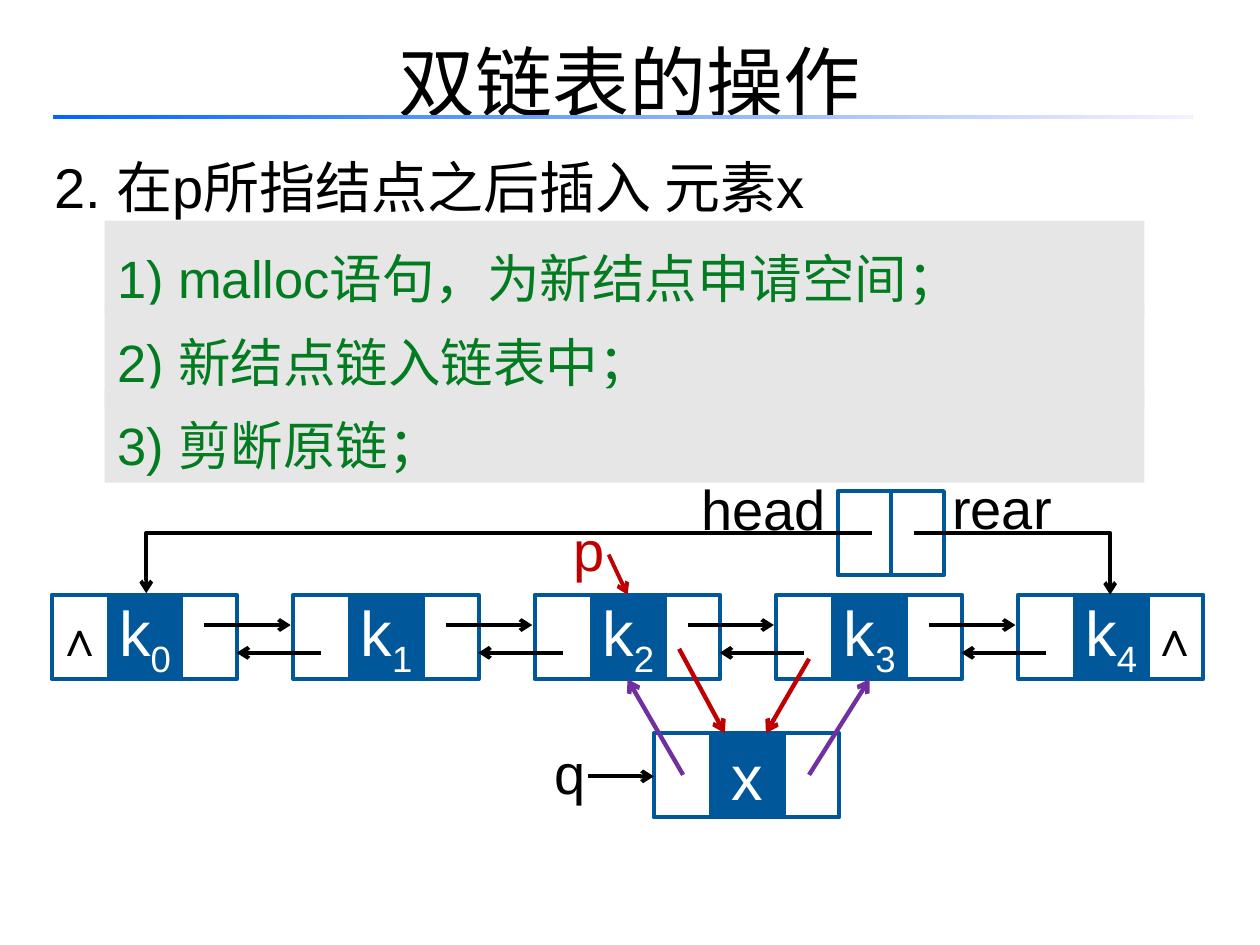
from lxml import etree
from pptx import Presentation
from pptx.dml.color import RGBColor
from pptx.enum.shapes import MSO_CONNECTOR, MSO_SHAPE
from pptx.enum.text import MSO_ANCHOR, MSO_AUTO_SIZE, PP_ALIGN
from pptx.oxml.ns import qn
from pptx.util import Cm, Pt

RECT = MSO_SHAPE.RECTANGLE
LINE, ELBOW = MSO_CONNECTOR.STRAIGHT, MSO_CONNECTOR.ELBOW
TOP, MID = MSO_ANCHOR.TOP, MSO_ANCHOR.MIDDLE
LEFT, MIDST, RIGHT = PP_ALIGN.LEFT, PP_ALIGN.CENTER, PP_ALIGN.RIGHT

THEME = {
    "ink": "000000", "paper": "FFFFFF", "blue": "00589A", "green": "037B20",
    "red": "C00000", "purple": "7030A0", "grey": "E6E6E6",
    "start": "0066FF", "stop": "F7EFFF",
    "font": "Arial", "han": "Noto Sans CJK SC",
    "title": 44, "key": 36, "label": 32, "step": 30, "null": 28,
    "edge": 2.25, "bold": 2.5,
}

TITLE = "双链表的操作"
TASK = "2. 在p所指结点之后插入 元素x"
# text, top and height in cm
STEPS = [
    ("1) malloc语句，为新结点申请空间；", 4.45, 1.9),
    ("2) 新结点链入链表中；", 6.14, 2.1),
    ("3) 剪断原链；", 7.83, 1.9),
]
NULL = "∧"
COUNT = 5
# text, left, top, width, colour
LABELS = [
    ("head", 14.1, 9.47, 2.6, "ink"),
    ("rear", 18.8, 9.45, 2.8, "ink"),
    ("p", 10.8, 10.31, 2.16, "red"),
    ("q", 10.41, 14.81, 2.16, "ink"),
]
# start x, y, end x, y, colour, width
LINKS = [
    (12.27, 11.18, 12.65, 11.99, "red", "edge"),
    (16.31, 15.62, 17.53, 13.69, "purple", "bold"),
    (13.77, 15.62, 12.65, 13.69, "purple", "bold"),
    (13.69, 13.08, 14.61, 14.78, "red", "bold"),
    (16.31, 13.28, 15.44, 14.78, "red", "bold"),
    (11.86, 15.65, 13.18, 15.65, "ink", "edge"),
]
BENDS = [(17.58, 10.74, 2.95, 11.96), (18.42, 10.74, 22.38, 11.99)]

FIRST, PITCH, ROW, HIGH = 1.04, 4.87, 11.99, 1.7
SIDE, CORE = 1.32, 1.47           # widths of pointer and key cells
KEY_AT, NEXT_AT = 1.15, 2.42      # offsets inside a node
NEW = (13.18, 14.78)

prs = Presentation()
prs.slide_width, prs.slide_height = Cm(25.4), Cm(19.05)
slide = prs.slides.add_slide(prs.slide_layouts[5])
shapes = slide.shapes


def tint(name):
    return RGBColor.from_string(THEME[name])


def write(shape, text, size, color, align=LEFT, space=1, anchor=MID,
          wrap=False, font="font", hang=0, sub="", bold=False):
    frame = shape.text_frame
    frame.text = text
    frame.word_wrap = wrap
    frame.auto_size = MSO_AUTO_SIZE.NONE
    frame.vertical_anchor = anchor
    para = frame.paragraphs[0]
    para.alignment, para.line_spacing = align, space
    if hang:
        props = para._p.get_or_add_pPr()
        props.set("marL", str(Cm(hang)))
        props.set("indent", str(-Cm(hang)))
    if sub:
        para.add_run().text = sub
    for run in para.runs:
        run.font.name = THEME[font]
        run.font.size = Pt(THEME[size])
        run.font.color.rgb = tint(color)
        run.font.bold = bold
    if sub:
        para.runs[-1].font._element.set("baseline", "-25000")


def label(text, x, y, w, h, **style):
    box = shapes.add_textbox(Cm(x), Cm(y), Cm(w), Cm(h))
    write(box, text, "label", **style)


def block(x, y, w, h, fill=None, line=None):
    box = shapes.add_shape(RECT, Cm(x), Cm(y), Cm(w), Cm(h))
    box.shadow.inherit = False
    if fill:
        box.fill.solid()
        box.fill.fore_color.rgb = tint(fill)
    else:
        box.fill.background()
    if line:
        box.line.color.rgb = tint(line)
        box.line.width = Pt(THEME["edge"])
    else:
        box.line.fill.background()
    return box


def arrow(x1, y1, x2, y2, color="ink", width="edge", kind=LINE):
    link = shapes.add_connector(kind, Cm(x1), Cm(y1), Cm(x2), Cm(y2))
    link.line.color.rgb = tint(color)
    link.line.width = Pt(THEME[width])
    tail = etree.SubElement(link.line._get_or_add_ln(), qn("a:tailEnd"))
    tail.set("type", "arrow")
    props = link._element.spPr
    etree.SubElement(props, qn("a:effectLst"))
    if kind == ELBOW:
        props.find(qn("a:prstGeom")).set("prst", "bentConnector2")


def node(x, y, key, sub=""):
    """Draw a node; return its prev and next cells."""
    after = block(x + NEXT_AT, y, SIDE, HIGH, line="blue")
    core = block(x + KEY_AT, y, CORE, HIGH, "blue", "blue")
    write(core, key, "key", "paper", MIDST, sub=sub)
    return block(x, y, SIDE, HIGH, line="blue"), after


title = shapes.title
title.left, title.top, title.width, title.height = (
    Cm(1.27), Cm(-0.2), Cm(22.86), Cm(3.18))
write(title, TITLE, "title", "ink", MIDST, 1.25, wrap=True, font="han")

rule = block(1.07, 2.31, 22.99, 0.1, "start")
rule.fill.gradient()
rule.fill.gradient_angle = 0
for stop, name in zip(rule.fill.gradient_stops, ("start", "stop")):
    stop.color.rgb = tint(name)

label(TASK, 0.84, 2.54, 24.77, 1.9, color="ink", space=1.3, anchor=TOP,
      wrap=True, hang=0.97)
for text, y, h in STEPS:
    write(block(2.11, y, 20.96, h, "grey"), text, "step", "green",
          space=1.3, anchor=TOP, wrap=True, hang=1.7)

for i in range(COUNT):
    x = FIRST + i * PITCH
    prev, after = node(x, ROW, "k", str(i))
    if i == 0:
        write(prev, NULL, "null", "ink", RIGHT, bold=True)
    else:
        arrow(x + 0.56, 13.16, x - 1.14, 13.16)
    if i == COUNT - 1:
        write(after, NULL, "null", "ink", bold=True)
    else:
        arrow(x + 3.08, 12.6, x + 4.82, 12.6)

for i in range(2):
    block(16.89 + i * 1.07, 9.9, 1.07, HIGH, line="blue")
for bend in BENDS:
    arrow(*bend, kind=ELBOW)
for text, x, y, w, color in LABELS:
    label(text, x, y, w, HIGH, color=color, align=MIDST, space=0.9)

node(*NEW, "x")
for link in LINKS:
    arrow(*link)

prs.save("out.pptx")
